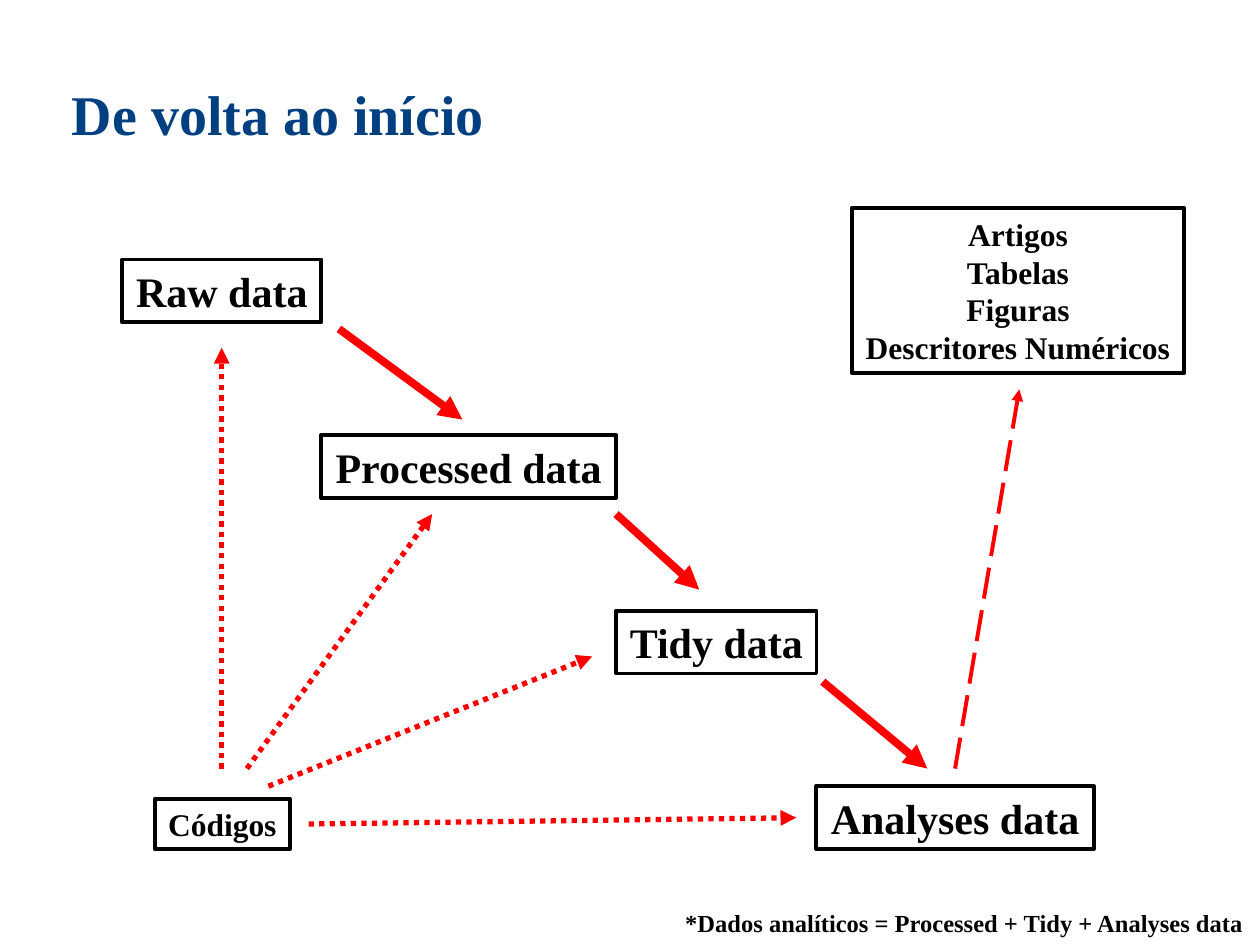
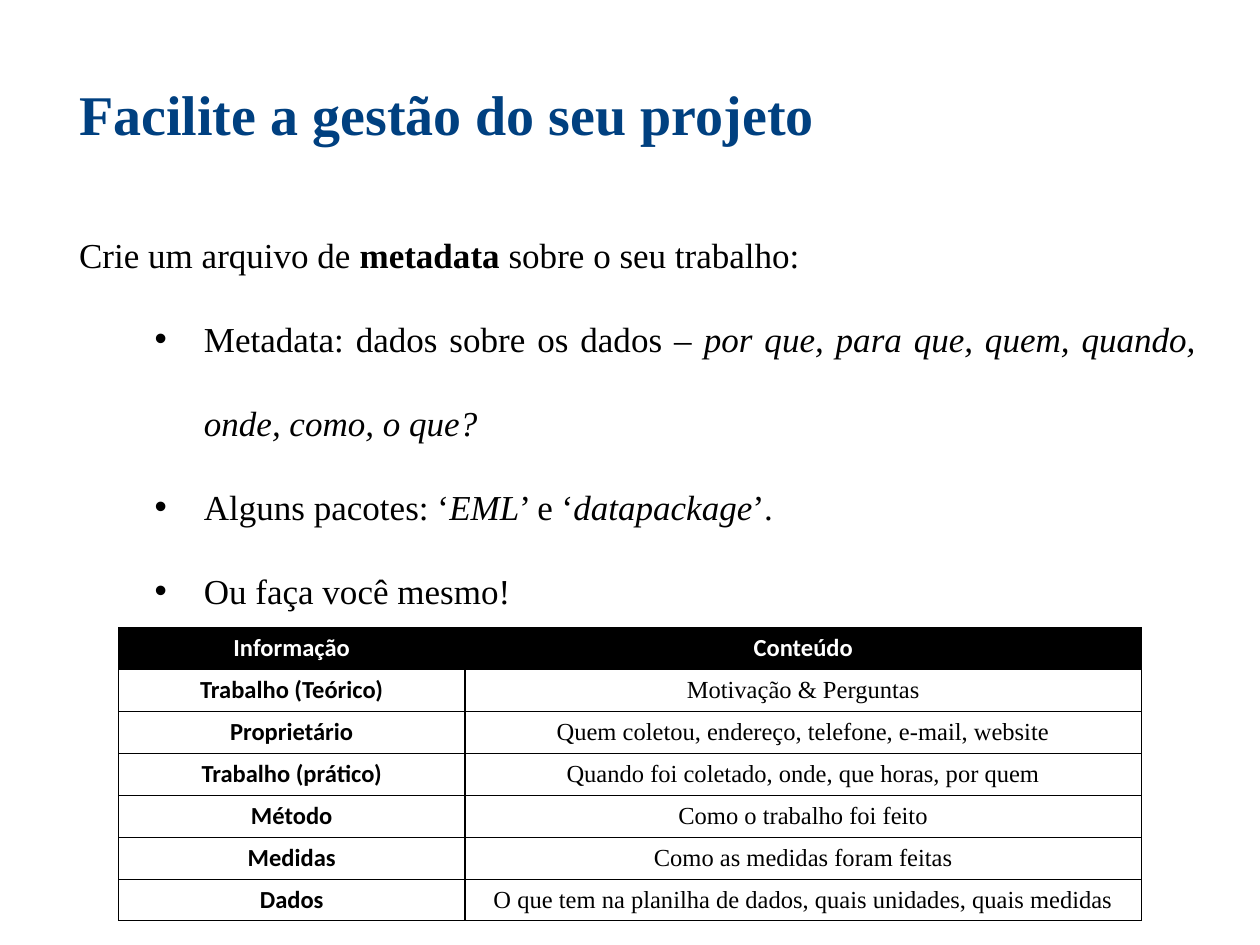
"""Builds two slides on the data workflow and on project metadata."""
import dataclasses

import lxml.etree
import pptx
import pptx.dml.color
import pptx.enum.dml
import pptx.enum.shapes
import pptx.enum.text
import pptx.oxml.ns
import pptx.util


@dataclasses.dataclass(frozen=True)
class Theme:
    serif: str = "Times New Roman"
    sans: str = "Calibri"
    ink: pptx.dml.color.RGBColor = pptx.dml.color.RGBColor(0, 0, 0)
    paper: pptx.dml.color.RGBColor = pptx.dml.color.RGBColor(255, 255, 255)
    navy: pptx.dml.color.RGBColor = pptx.dml.color.RGBColor(0, 64, 128)
    red: pptx.dml.color.RGBColor = pptx.dml.color.RGBColor(255, 0, 0)
    title: int = 32
    stage: int = 24
    body: int = 20
    label: int = 18
    small: int = 14


theme = Theme()
align = pptx.enum.text.PP_ALIGN
dash = pptx.enum.dml.MSO_LINE
middle = pptx.enum.text.MSO_ANCHOR.MIDDLE
deck = pptx.Presentation()
deck.slide_width = pptx.util.Inches(10)
deck.slide_height = pptx.util.Inches(7.5)
COLUMNS = 100


def grid(*cells):
    """Turns counts of square grid cells into lengths."""
    return [pptx.util.Emu(round(count * deck.slide_width / COLUMNS)) for count in cells]


def add_element(parent, tag, **attributes):
    """Adds a drawing element to its parent."""
    return lxml.etree.SubElement(parent, pptx.oxml.ns.qn(tag), attributes)


texts = []
pages = []
for title, left, width in (
    ("De volta ao início", 4.7, 36.2),
    ("Facilite a gestão do seu projeto", 5.3, 62.1),
):
    page = deck.slides.add_slide(deck.slide_layouts[5])
    box = page.shapes.title
    box.left, box.top, box.width, box.height = grid(left, 5.8, width, 6.4)
    frame = box.text_frame
    frame.text = title
    frame.auto_size = pptx.enum.text.MSO_AUTO_SIZE.NONE
    frame.word_wrap = False
    frame.vertical_anchor = middle
    texts.append((frame, theme.serif, theme.title, theme.navy, True, align.LEFT))
    pages.append(page)
flow_page, metadata_page = pages

boxes = [
    ("Artigos\nTabelas\nFiguras\nDescritores Numéricos", theme.label, 67.6, 16.5, 26.4, 13.1),
    ("Códigos", theme.label, 12.3, 63.4, 10.7, 4),
]
left = 9.7
for step, (stage, width) in enumerate(
    (("Raw data", 15.8), ("Processed data", 23.4), ("Tidy data", 15.9), ("Analyses data", 22))
):
    boxes.append((stage, theme.stage, left, 20.6 + 13.93 * step, width, 5))
    left += width

for text, size, *place in boxes:
    box = flow_page.shapes.add_shape(pptx.enum.shapes.MSO_SHAPE.RECTANGLE, *grid(*place))
    box.shadow.inherit = False
    box.fill.background()
    box.line.color.rgb = theme.ink
    box.line.width = pptx.util.Pt(2.25)
    box.text_frame.text = text
    box.text_frame.word_wrap = False
    box.text_frame.vertical_anchor = middle
    texts.append((box.text_frame, theme.serif, size, theme.ink, True, align.CENTER))

arrow_groups = (
    (4.5, None, ((26.9, 26.1, 36.7, 33.3), (48.9, 40.8, 55.5, 46.8), (65.3, 54.1, 73.6, 61))),
    (3, dash.ROUND_DOT, (
        (17.6, 61, 17.6, 27.6),
        (19.6, 61, 34.3, 40.8),
        (21.3, 62.4, 47, 52.1),
        (24.5, 65.4, 63.2, 64.9),
    )),
    (2.25, dash.LONG_DASH, ((75.8, 61, 80.9, 30.9),)),
)
for weight, style, arrows in arrow_groups:
    for ends in arrows:
        arrow = flow_page.shapes.add_connector(
            pptx.enum.shapes.MSO_CONNECTOR.STRAIGHT, *grid(*ends))
        arrow.line.color.rgb = theme.red
        arrow.line.width = pptx.util.Pt(weight)
        if style:
            arrow.line.dash_style = style
        add_element(arrow.line._get_or_add_ln(), "a:tailEnd", type="triangle")
        add_element(arrow._element.spPr, "a:effectLst")

footnote = flow_page.shapes.add_textbox(*grid(53.4, 71.6, 46.6, 3.4)).text_frame
footnote.text = "*Dados analíticos = Processed + Tidy + Analyses data"
footnote.word_wrap = False
texts.append((footnote, theme.serif, theme.small, theme.ink, True, align.LEFT))

body = metadata_page.shapes.add_textbox(*grid(5.3, 14.7, 90.6, 34.1)).text_frame
body.word_wrap = True
body_lines = (
    (("Crie um arquivo de ", ""), ("metadata ", "bold"), ("sobre o seu trabalho:", "")),
    (("Metadata: dados sobre os dados – ", ""),
     ("por que, para que, quem, quando, onde, como, o que?", "italic")),
    (("Alguns pacotes: ‘", ""), ("EML", "italic"), ("’ e ‘", ""),
     ("datapackage", "italic"), ("’.", "")),
    (("Ou faça você mesmo!", ""),),
)
for number, spans in enumerate(body_lines):
    para = body.add_paragraph() if number else body.paragraphs[0]
    if number:
        properties = para._p.get_or_add_pPr()
        margin, indent = grid(9.9, -3.9)
        properties.set("marL", str(margin))
        properties.set("indent", str(indent))
        add_element(properties, "a:buFont", typeface="Arial")
        add_element(properties, "a:buChar", char="•")
    para.line_spacing = 2.0
    for text, emphasis in spans:
        span = para.add_run()
        span.text = text
        span.font.bold = emphasis == "bold"
        span.font.italic = emphasis == "italic"
texts.append((body, theme.serif, theme.body, theme.ink, None, align.JUSTIFY))

records = (
    ("Informação", "Conteúdo"),
    ("Trabalho (Teórico)", "Motivação & Perguntas"),
    ("Proprietário", "Quem coletou, endereço, telefone, e-mail, website"),
    ("Trabalho (prático)", "Quando foi coletado, onde, que horas, por quem"),
    ("Método", "Como o trabalho foi feito"),
    ("Medidas", "Como as medidas foram feitas"),
    ("Dados", "O que tem na planilha de dados, quais unidades, quais medidas"),
)
table = metadata_page.shapes.add_table(len(records), 2, *grid(9.4, 49.8, 81.2, 23.3)).table
table.first_row = table.horz_banding = False
for column, width in zip(table.columns, grid(27.5, 53.7)):
    column.width = width
for row, record in enumerate(records):
    for column, text in enumerate(record):
        cell = table.cell(row, column)
        cell.text = text
        cell.vertical_anchor = middle
        cell.margin_top, cell.margin_bottom = grid(0.3, 0.3)
        inner = "R" if column == 0 else "L"
        for side in "LRTB":
            weight = pptx.util.Pt(1 if side == inner else 0.5)
            border = add_element(cell._tc.get_or_add_tcPr(), f"a:ln{side}", w=str(weight))
            add_element(add_element(border, "a:solidFill"), "a:srgbClr", val=str(theme.ink))
        header = row == 0
        cell.fill.solid()
        cell.fill.fore_color.rgb = theme.ink if header else theme.paper
        bold = header or column == 0
        texts.append((cell.text_frame, theme.sans if bold else theme.serif, theme.small,
                      theme.paper if header else theme.ink, bold, align.CENTER))

for frame, family, size, colour, bold, alignment in texts:
    for para in frame.paragraphs:
        para.alignment = alignment
        for span in para.runs:
            span.font.name = family
            span.font.size = pptx.util.Pt(size)
            span.font.color.rgb = colour
            if bold is not None:
                span.font.bold = bold

deck.save("out.pptx")
